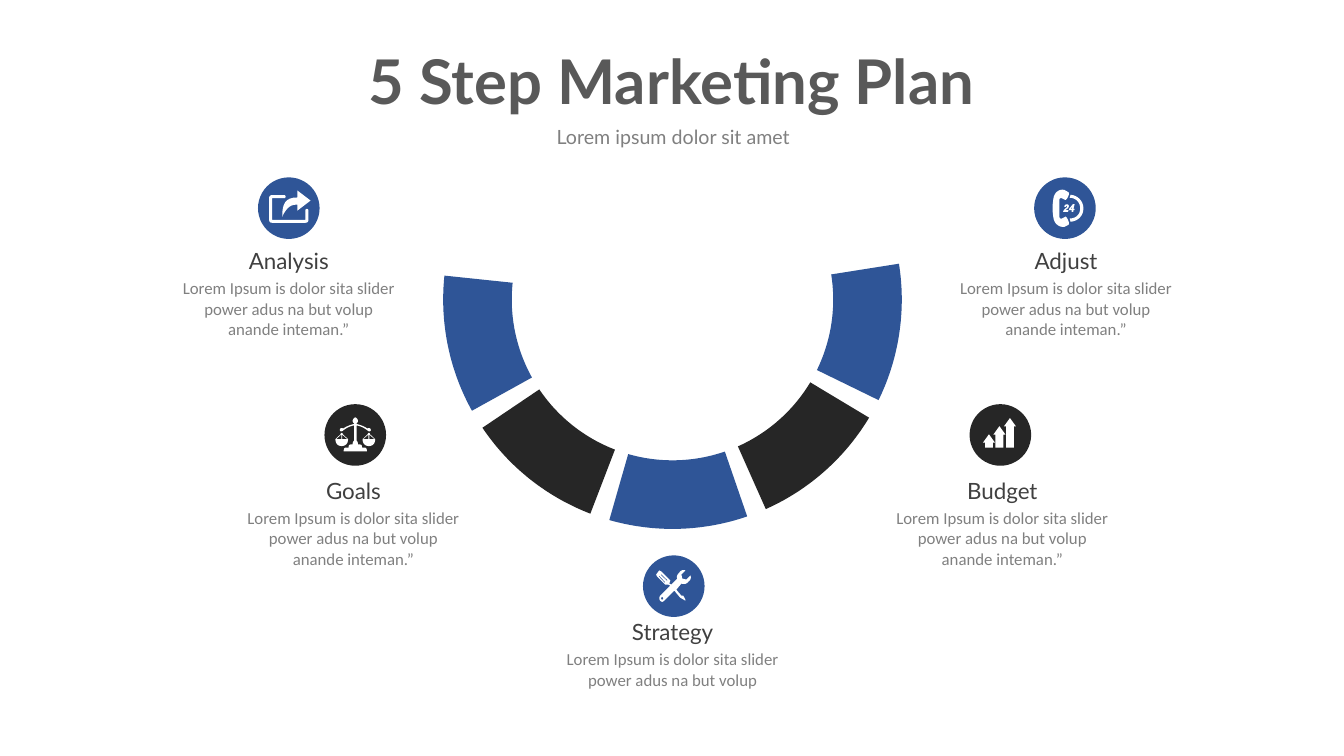
from dataclasses import dataclass
from math import cos, radians, sin

from pptx import Presentation
from pptx import util as u
from pptx.dml.color import RGBColor
from pptx.enum import shapes, text

BLUE, BLACK, WHITE = "2F5597", "262626", "FFFFFF"
HEADING_GREY, LABEL_GREY, TEXT_GREY = "595959", "404040", "808080"
RING_X, RING_Y, OUTER_RADIUS, INNER_RADIUS = 480.4, 214, 163.8, 114.8
FIRST_ANGLE, ANGLE_STEP, SWEEP = -9, 40, 35
DISC_SIZE = 44
CURVE_PARTS = 8

Point = tuple[float, float]
SENTENCE = "Lorem Ipsum is dolor sita slider power adus na but volup"
ENDING = "anande inteman.”"

# Icon outlines, in points from the centre of the disc
HANDSET = (
    "M -8.3,-6.1 C -8.6,-4 -8.8,-2 -8.8,.2 C -8.8,2.3 -8.6,4 -8.3,6.1 "
    "C -8,11 -4,14 -.4,13.4 L 2.5,12 C 4,11 1,5.6 .4,6.1 L -2.5,7.6 "
    "C -3.6,7.6 -4,6.5 -4,5.8 L -4,-5.8 C -4,-6.5 -3.6,-7.2 -2.5,-7.2 "
    "L .4,-5.8 C 1,-5.4 4,-10.4 2.5,-11.4 L -.4,-13 C -4,-14 -8,-11 -8.3,-6.1")
DIAL = (
    "M 13.2,.2 C 13.2,5.5 9.2,9.4 4,9.7 L 3.4,7.4 C 7.8,7.4 10.9,4.5 10.9,.2 "
    "C 10.9,-4.2 7.8,-7.4 3.4,-7.4 L 4,-9.6 C 9.2,-9.2 13.2,-5 13.2,.2")
DIGITS = (
    "M -1.3,2.6 L 2.2,2.6 L 2.5,1.4 L .5,1.4 C 1,.6 2.7,.2 2.8,-1.4 "
    "C 2.9,-3.2 -.3,-3.4 -.5,-.9 L .7,-.8 C .8,-2 1.6,-2 1.6,-1.2 "
    "C 1.5,-.2 -.9,.6 -1.3,2.6 "
    "M 6.1,.5 L 6.9,-2.8 L 5.6,-2.8 L 3,.5 L 2.8,1.5 L 4.9,1.5 L 4.7,2.7 "
    "L 5.9,2.7 L 6.1,1.5 L 6.7,1.5 L 6.9,.5 M 4.1,.5 L 5.3,-1.2 L 4.9,.5")
TRAY = (
    "M -3,-9.3 L -12,-9.3 C -13.3,-9.3 -14,-8.6 -14,-7.3 L -14,8.4 "
    "C -14,9.7 -13.3,10.4 -12,10.4 L 12,10.4 C 13.3,10.4 14,9.7 14,8.4 "
    "L 14,1.5 C 14,.2 11.9,.2 11.9,1.5 L 11.9,8.3 L -11.9,8.3 L -11.9,-7.2 "
    "L -3,-7.2 C -2,-7.2 -2,-9.3 -3,-9.3")
SHARE_ARROW = (
    "M 6.1,1.8 L 15.5,-5.4 L 6.1,-12.6 L 6.1,-7.6 C -2.5,-7.6 -4.7,-3.2 -4.7,6.1 "
    "C -1,-1.8 2.5,-2.5 6.1,-2.5")
PAN = (
    "M -4.5,3 L -.8,-.5 C -.8,-1.8 .8,-1.8 .8,-.5 L 4.5,3 C 4.5,6.4 2.5,7.9 0,7.9 "
    "C -2.5,7.9 -4.5,6.4 -4.5,3 M -4,3 L -.3,-.3 L -.3,3 M .3,3 L .3,-.3 L 4,3")
STAND = (
    "M 8.3,11.7 C 8.3,9.8 7.8,9 6.4,9 L 4.8,9 C 4.9,7.5 4.3,6.8 3.2,6.8 L 1.8,6.8 "
    "C 2.1,5.5 1.4,4.6 .9,4 L .9,-6.8 C 3.9,-6.3 6.4,-5 8.7,-3.2 "
    "C 9.6,-2.2 11.1,-2.5 11.1,-3.5 C 11.1,-4.8 9.8,-5.2 8.7,-4.6 "
    "C 6.2,-6.2 3.5,-7.3 .9,-7.8 L .9,-8.3 C 3,-9.8 1.4,-12 0,-12.6 "
    "C -1.4,-12 -3,-9.8 -.9,-8.3 L -.9,-7.8 C -3.5,-7.3 -6.2,-6.2 -8.7,-4.6 "
    "C -9.8,-5.2 -11.1,-4.8 -11.1,-3.5 C -11.1,-2.5 -9.6,-2.2 -8.7,-3.2 "
    "C -6.4,-5 -3.9,-6.3 -.9,-6.8 L -.9,4 C -1.4,4.6 -2.1,5.5 -1.8,6.8 L -3.2,6.8 "
    "C -4.3,6.8 -4.9,7.5 -4.8,9 L -6.4,9 C -7.8,9 -8.3,9.8 -8.3,11.7")
TOOLS = (
    "M -12.6,-8.3 L -10.4,-11.2 L -9,-10.5 L -2.5,-4 L -3.2,-1.8 L -1.8,-1.1 "
    "L 2.5,-5.4 C 1.8,-6.8 2.5,-8.3 4,-9.7 C 4.7,-11.2 6.8,-11.9 8.3,-11.2 "
    "L 5.4,-8.3 L 6.1,-5.4 L 9,-4.7 L 11.9,-7.6 C 12.6,-6.1 11.9,-4 10.4,-3.2 "
    "C 9.7,-1.8 7.6,-1.1 5.4,-1.8 L 1.8,2.5 L 5.4,6.8 L 6.8,6.8 L 8.3,9.7 "
    "L 8.3,10.4 L 4.7,8.3 L 4,7.6 L .4,3.2 L -6.1,9.7 C -6.8,10.4 -7.6,11.2 -8.3,11.2 "
    "C -10.4,10.9 -10.8,8.3 -9.7,6.8 L -2.5,-.4 L -4,-1.1 L -6.1,-1.1 L -11.9,-6.8 "
    "M -8.3,7.6 C -9.4,8.3 -9.4,9.4 -8.3,9.7 C -7.2,9.4 -7.2,8.3 -8.3,7.6 "
    "M -4.5,-4.3 L -9,-8.5 L -9.3,-8 L -4.9,-3.8 "
    "M -6.1,-2.8 L -10.4,-7.5 L -10.8,-7 L -6.5,-2.4")


@dataclass(frozen=True)
class Part:
    outline: str
    shift: float = 0


@dataclass(frozen=True)
class Step:
    label: str
    lines: tuple[str, ...]
    fill: str
    disc: Point
    text_x: float
    label_top: float
    icon: tuple[Part, ...]


def growth_arrow(index: int) -> Part:
    tip = -.5 - 5.8 * index
    neck = tip + 6
    return Part(f"M 0,{tip} L 4.3,{neck} L 2.8,{neck} L 2.8,9 L -2.8,9 "
                f"L -2.8,{neck} L -4.3,{neck}", -8.2 + 7.5 * index)


# In the order of the ring, from right to left
STEPS = (
    Step("Adjust", (SENTENCE, ENDING), BLUE, (760.7, 148.7), 761.5, 172.8,
         (Part(HANDSET), Part(DIAL), Part(DIGITS))),
    Step("Budget", (SENTENCE, ENDING), BLACK, (714.6, 310.7), 716, 337,
         tuple(growth_arrow(index) for index in range(3))),
    Step("Strategy", (SENTENCE,), BLUE, (481.3, 418.7), 480.5, 437.8, (Part(TOOLS),)),
    Step("Goals", (SENTENCE, ENDING), BLACK, (253.8, 310.7), 252.5, 337,
         (Part(PAN, -9.7), Part(PAN, 9.7), Part(STAND))),
    Step("Analysis", (SENTENCE, ENDING), BLUE, (206.3, 148.7), 206.3, 172.8,
         (Part(TRAY), Part(SHARE_ARROW))),
)


def colour(value: str) -> RGBColor:
    return RGBColor.from_string(value)


def paint(shape, fill: str) -> None:
    shape.fill.solid()
    shape.fill.fore_color.rgb = colour(fill)
    shape.line.fill.background()
    shape.shadow.inherit = False


def contours(outline: str) -> list[list[Point]]:
    """Turn M, L and C commands into closed rows of points."""
    rows: list[list[Point]] = []
    for command in outline.replace("M", "|M").replace("L", "|L").replace("C", "|C").split("|")[1:]:
        kind, *pairs = command.split()
        ends = [tuple(float(value) for value in pair.split(",")) for pair in pairs]
        if kind == "M":
            rows.append(ends)
        elif kind == "L":
            rows[-1] += ends
        else:
            controls = [rows[-1][-1], *ends]
            for part in range(1, CURVE_PARTS + 1):
                t = part / CURVE_PARTS
                weights = ((1 - t) ** 3, 3 * t * (1 - t) ** 2, 3 * t * t * (1 - t), t ** 3)
                rows[-1].append(tuple(sum(weight * point[axis] for weight, point
                                          in zip(weights, controls)) for axis in (0, 1)))
    return rows


def draw_outline(page, rows: list[list[Point]], x: float, y: float, fill: str) -> None:
    builder = None
    for row in rows:
        start, *rest = [(u.Pt(x + dx), u.Pt(y + dy)) for dx, dy in row]
        if builder is None:
            builder = page.shapes.build_freeform(*start, scale=1.0)
        else:
            builder.move_to(*start)
        builder.add_line_segments(rest, close=True)
    paint(builder.convert_to_shape(), fill)


def draw_segment(page, index: int, fill: str) -> None:
    first = FIRST_ANGLE + ANGLE_STEP * index
    angles = [radians(first + degree) for degree in range(SWEEP + 1)]
    row = [(OUTER_RADIUS * cos(a), OUTER_RADIUS * sin(a)) for a in angles]
    row += [(INNER_RADIUS * cos(a), INNER_RADIUS * sin(a)) for a in reversed(angles)]
    draw_outline(page, [row], RING_X, RING_Y, fill)


def write(box, place: tuple[float, ...], lines: tuple[str, ...], fill: str,
          font: dict, spacing: float = 1.0) -> None:
    for name, value in zip(("left", "top", "width", "height"), place):
        setattr(box, name, u.Pt(value))
    frame_format = {"word_wrap": True, "vertical_anchor": text.MSO_ANCHOR.TOP,
                    "auto_size": text.MSO_AUTO_SIZE.NONE}
    for name, value in frame_format.items():
        setattr(box.text_frame, name, value)
    box.text_frame.text = "\n".join(lines)
    para_format = {"alignment": text.PP_ALIGN.CENTER, "space_before": u.Pt(0),
                   "line_spacing": spacing}
    for para in box.text_frame.paragraphs:
        for name, value in para_format.items():
            setattr(para, name, value)
        for span in para.runs:
            span.font.color.rgb = colour(fill)
            for name, value in font.items():
                setattr(span.font, name, value)


def draw_step(page, step: Step) -> None:
    left = step.text_x - 90.4
    for top, height, lines, fill, font in (
            (step.label_top, 26.6, (step.label,), LABEL_GREY, {"name": "Lato", "size": u.Pt(16)}),
            (step.label_top + 22.3, 51, step.lines, TEXT_GREY,
             {"name": "Calibri", "size": u.Pt(12)})):
        box = page.shapes.add_textbox(0, 0, 0, 0)
        write(box, (left, top, 180.8, height), lines, fill, font)
    x, y = step.disc
    disc = page.shapes.add_shape(shapes.MSO_SHAPE.OVAL, u.Pt(x - DISC_SIZE / 2),
                                 u.Pt(y - DISC_SIZE / 2), u.Pt(DISC_SIZE), u.Pt(DISC_SIZE))
    paint(disc, step.fill)
    for part in step.icon:
        draw_outline(page, contours(part.outline), x + part.shift, y, WHITE)


def main() -> None:
    deck = Presentation()
    deck.slide_width, deck.slide_height = u.Pt(960), u.Pt(540)
    page = deck.slides.add_slide(deck.slide_layouts[0])
    title, subtitle = page.placeholders
    write(title, (228.2, 39.6, 503.3, 47.5), ("5 Step Marketing Plan",), HEADING_GREY,
          {"name": "Lato", "size": u.Pt(44), "bold": True}, u.Pt(40))
    write(subtitle, (252.7, 85.7, 456.5, 24.5), ("Lorem ipsum dolor sit amet",), TEXT_GREY,
          {"name": "Lato", "size": u.Pt(14)})
    for index, step in enumerate(STEPS):
        draw_segment(page, index, step.fill)
        draw_step(page, step)
    deck.save("out.pptx")


if __name__ == "__main__":
    main()
